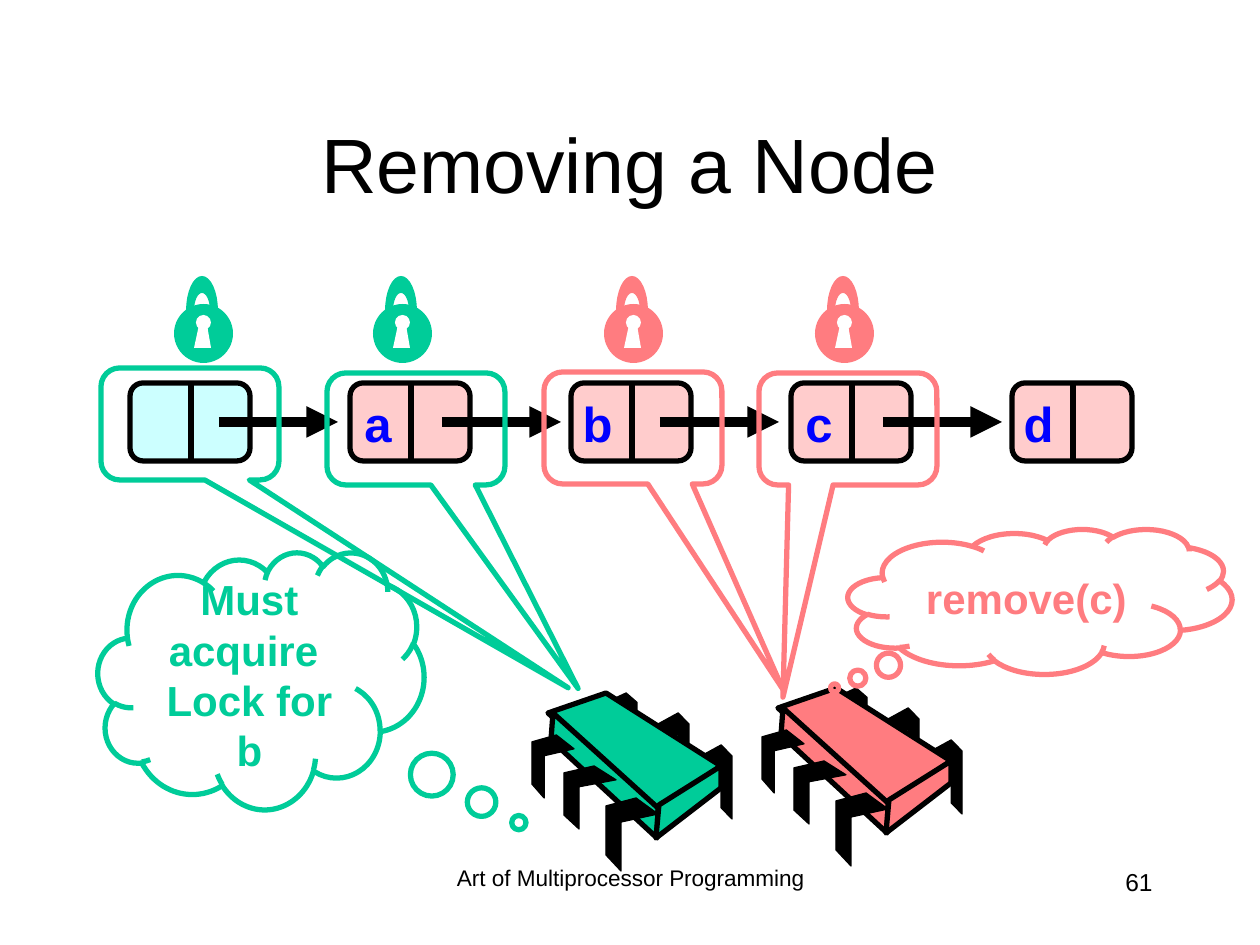
import dataclasses
import math
import typing

import pptx
import pptx.dml.color
import pptx.enum.shapes
import pptx.enum.text
import pptx.oxml
import pptx.oxml.ns
import pptx.util

EMU_PER_PX = 914400 / 126

BLACK = pptx.dml.color.RGBColor(0x00, 0x00, 0x00)
WHITE = pptx.dml.color.RGBColor(0xFF, 0xFF, 0xFF)
BLUE = pptx.dml.color.RGBColor(0x00, 0x00, 0xFF)
AQUA = pptx.dml.color.RGBColor(0xCC, 0xFF, 0xFF)
PINK = pptx.dml.color.RGBColor(0xFF, 0xCC, 0xCC)
GREEN = pptx.dml.color.RGBColor(0x00, 0xCC, 0x99)
RED = pptx.dml.color.RGBColor(0xFF, 0x7C, 0x80)

SHAPE = pptx.enum.shapes.MSO_SHAPE
ALIGN = pptx.enum.text.PP_ALIGN
ANCHOR = pptx.enum.text.MSO_ANCHOR
Color = pptx.dml.color.RGBColor
Points = list[tuple[float, float]]


@dataclasses.dataclass
class Box:
    left: int
    top: int
    width: int
    height: int

    def emu(self) -> list[int]:
        return [px(side) for side in dataclasses.astuple(self)]


@dataclasses.dataclass
class Callout:
    box: Box
    adjustments: tuple[float, ...]
    color: Color
    lines: tuple[str, ...] = ()


@dataclasses.dataclass
class Leg:
    outline: Points
    box: Box


@dataclasses.dataclass
class Panel:
    outline: Points


def px(length: float) -> int:
    return round(length * EMU_PER_PX)


def paint(shape: typing.Any, fill: Color | None, line: Color | None, width: float = 3) -> None:
    shape.shadow.inherit = False
    if fill is None:
        shape.fill.background()
    else:
        shape.fill.solid()
        shape.fill.fore_color.rgb = fill
    if line is None:
        shape.line.fill.background()
    else:
        shape.line.color.rgb = line
        shape.line.width = pptx.util.Pt(width)


def write(frame: typing.Any, lines: typing.Sequence[str], size: float, color: Color,
          align: typing.Any = ALIGN.CENTER, bold: bool = False, wrap: bool = True) -> None:
    frame.word_wrap = wrap
    for index, line in enumerate(lines):
        paragraph = frame.add_paragraph() if index else frame.paragraphs[0]
        paragraph.text = line
        paragraph.alignment = align
        paragraph.font.name = "Arial"
        paragraph.font.size = pptx.util.Pt(size)
        paragraph.font.bold = bold
        paragraph.font.color.rgb = color


def draw_preset(shapes: typing.Any, kind: typing.Any, box: Box, fill: Color | None, line: Color | None) -> typing.Any:
    shape = shapes.add_shape(kind, *box.emu())
    paint(shape, fill, line)
    return shape


def draw_polygon(shapes: typing.Any, points: Points, fill: Color, line: Color | None = None, width: float = 3) -> None:
    corners = [(px(x), px(y)) for x, y in points]
    builder = shapes.build_freeform(*corners[0], scale=1.0)
    builder.add_line_segments(corners[1:], close=True)
    paint(builder.convert_to_shape(), fill, line, width)


def draw_line(shapes: typing.Any, start: tuple[int, int], end: tuple[int, int], width: float, arrow: bool = False) -> None:
    connector = shapes.add_connector(pptx.enum.shapes.MSO_CONNECTOR.STRAIGHT, *map(px, start + end))
    connector.line.color.rgb = BLACK
    connector.line.width = pptx.util.Pt(width)
    namespace = pptx.oxml.ns.nsdecls("a")
    if arrow:
        connector.line._get_or_add_ln().append(pptx.oxml.parse_xml(f'<a:tailEnd {namespace} type="triangle"/>'))
    connector._element.spPr.append(pptx.oxml.parse_xml(f"<a:effectLst {namespace}/>"))


def draw_text(shapes: typing.Any, box: Box, text: str, size: float, color: Color = BLACK, **style: typing.Any) -> typing.Any:
    frame = shapes.add_textbox(*box.emu()).text_frame
    write(frame, [text], size, color, **style)
    return frame


def draw_node(shapes: typing.Any, left: int, label: str) -> None:
    node = shapes.add_group_shape().shapes
    body = draw_preset(node, SHAPE.ROUNDED_RECTANGLE, Box(left, 383, 120, 78), PINK if label else AQUA, BLACK)
    body.adjustments[0] = 0.167
    draw_line(node, (left + 61, 382), (left + 61, 462), 3)
    if label:
        draw_text(node, Box(left - 1, 387, 55, 72), label, 28, BLUE, align=ALIGN.RIGHT, bold=True, wrap=False)


# Legs are unit outlines stretched to their box; all chip parts are relative to the chip corner
REAR = [(0, .15), (.65, 0), (1, .15), (1, 1), (.65, .85), (.65, .28), (0, .42)]
FRONT = [(.58, 0), (1, .22), (.29, .33), (.29, 1), (0, .78), (0, .11)]
CHIP: list[Leg | Panel] = [
    Leg(REAR, Box(169, 52, 31, 74)),
    Leg(REAR, Box(126, 20, 31, 74)),
    Leg(REAR, Box(74, 0, 31, 63)),
    Panel([(74, 0), (189, 73), (125, 117), (16, 20)]),
    Panel([(21, 20), (126, 115), (125, 145), (19, 47)]),
    Panel([(189, 73), (189, 95), (124, 145), (127, 112)]),
    Leg(FRONT, Box(74, 105, 52, 73)),
    Leg(FRONT, Box(32, 73, 52, 63)),
    Leg(FRONT, Box(0, 42, 42, 63)),
]


def draw_chip(shapes: typing.Any, left: int, top: int, color: Color) -> None:
    chip = shapes.add_group_shape().shapes
    for part in CHIP:
        if isinstance(part, Leg):
            box = part.box
            points = [(left + box.left + x * box.width, top + box.top + y * box.height) for x, y in part.outline]
            draw_polygon(chip, points, BLACK, BLACK, 0.75)
        else:
            draw_polygon(chip, [(left + x, top + y) for x, y in part.outline], color, BLACK)


def half_ellipse(center: int, base: int, radius: int, height: int) -> Points:
    angles = [math.pi * step / 16 for step in range(17)]
    return [(center - radius * math.cos(a), base - height * math.sin(a)) for a in angles]


def draw_lock(shapes: typing.Any, left: int, color: Color, top: int = 304) -> None:
    lock = shapes.add_group_shape().shapes
    draw_preset(lock, SHAPE.OVAL, Box(left, top, 59, 59), color, None)
    draw_preset(lock, SHAPE.OVAL, Box(left + 22, top + 11, 15, 15), WHITE, None)
    keyhole = [(20, 44), (25, 21), (33, 21), (37, 44)]
    draw_polygon(lock, [(left + x, top + y) for x, y in keyhole], WHITE)
    outer = half_ellipse(left + 28, top + 7, 16, 35)
    inner = half_ellipse(left + 28, top + 7, 8, 18)
    draw_polygon(lock, outer + inner[::-1], color)


def draw_callout(shapes: typing.Any, kind: typing.Any, callout: Callout) -> None:
    shape = draw_preset(shapes, kind, callout.box, None, callout.color)
    for index, value in enumerate(callout.adjustments):
        shape.adjustments[index] = value
    if callout.lines:
        shape.text_frame.vertical_anchor = ANCHOR.MIDDLE
        write(shape.text_frame, callout.lines, 24, callout.color, bold=True)


HOLDS = [
    Callout(Box(327, 373, 178, 112), (0.911, 2.317, 0.167), GREEN),
    Callout(Box(101, 368, 178, 112), (2.125, 2.356, 0.167), GREEN),
    Callout(Box(544, 372, 178, 112), (0.842, 2.332, 0.167), RED),
    Callout(Box(759, 373, 178, 112), (-0.365, 2.395, 0.167), RED),
]
THOUGHTS = [
    Callout(Box(98, 552, 326, 257), (0.791, 0.553), GREEN, ("Must acquire ", "Lock for b")),
    Callout(Box(848, 529, 384, 145), (-0.535, 0.596), RED, ("remove(c)",)),
]


def main() -> None:
    deck = pptx.Presentation()
    deck.slide_width, deck.slide_height = px(1260), px(945)
    shapes = deck.slides.add_slide(deck.slide_layouts[6]).shapes

    # Footer, page number and title
    footer = draw_text(shapes, Box(431, 861, 399, 63), "Art of Multiprocessor Programming", 12.9)
    footer.paragraphs[0].line_spacing = 0.9
    draw_text(shapes, Box(903, 861, 262, 63), "61", 14, align=ALIGN.RIGHT)
    title = draw_text(shapes, Box(94, 84, 1071, 158), "Removing a Node", 44)
    title.vertical_anchor = ANCHOR.MIDDLE

    # Linked list
    for index, label in enumerate(["", "a", "b", "c", "d"]):
        draw_node(shapes, 130 + index * 441 // 2, label)
    for start in (219, 442, 660, 883):
        draw_line(shapes, (start, 422), (start + 119, 422), 6, arrow=True)

    # Threads, the locks they hold and their thoughts
    draw_chip(shapes, 532, 693, GREEN)
    draw_chip(shapes, 762, 688, RED)
    for hold in HOLDS:
        draw_callout(shapes, SHAPE.ROUNDED_RECTANGULAR_CALLOUT, hold)
    for left, color in ((174, GREEN), (373, GREEN), (604, RED), (815, RED)):
        draw_lock(shapes, left, color)
    for thought in THOUGHTS:
        draw_callout(shapes, SHAPE.CLOUD_CALLOUT, thought)

    deck.save("out.pptx")


if __name__ == "__main__":
    main()
